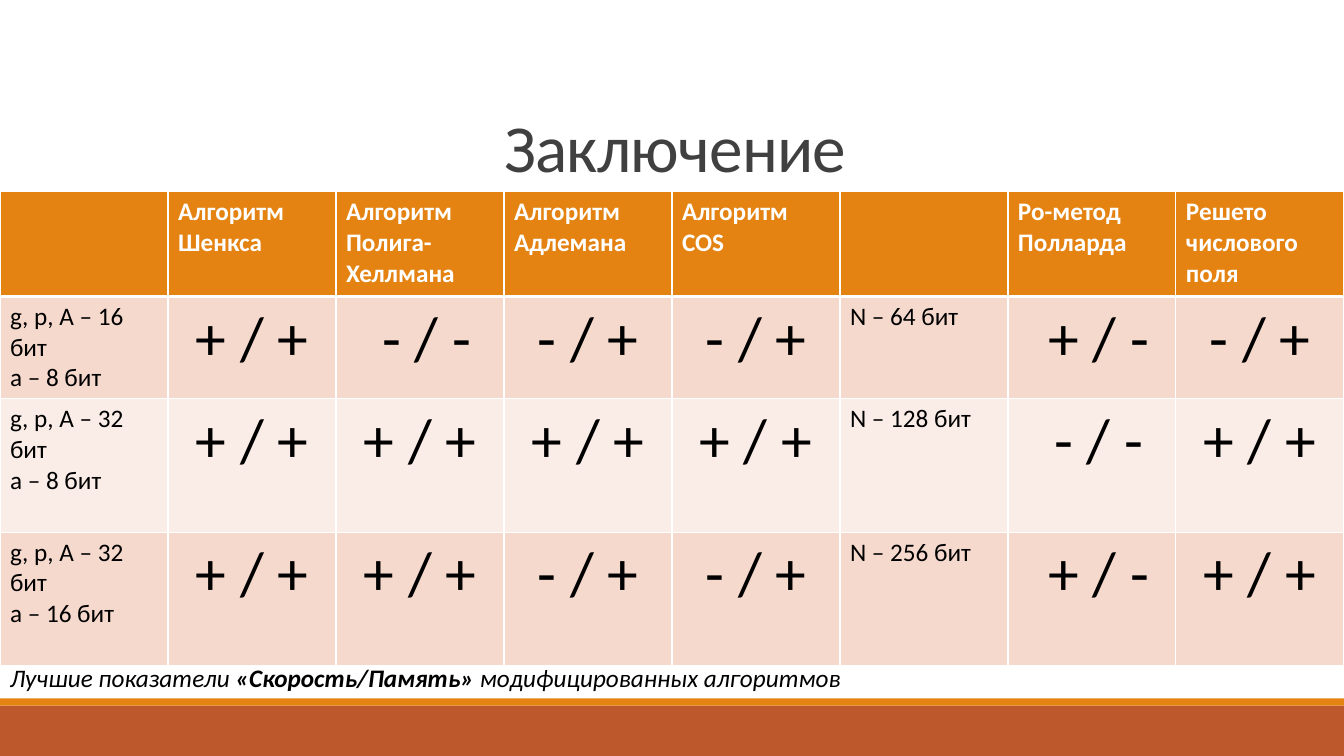
from dataclasses import dataclass

import pptx
import pptx.dml.color
import pptx.enum.shapes
import pptx.enum.text
import pptx.oxml
import pptx.oxml.ns
import pptx.util

Pt = pptx.util.Pt
RGBColor = pptx.dml.color.RGBColor
ALIGN = pptx.enum.text.PP_ALIGN
ANCHOR = pptx.enum.text.MSO_ANCHOR

WHITE = RGBColor(0xFF, 0xFF, 0xFF)
BLACK = RGBColor(0x00, 0x00, 0x00)
GRAY = RGBColor(0x40, 0x40, 0x40)
ORANGE = RGBColor(0xE4, 0x83, 0x12)
RUST = RGBColor(0xBD, 0x58, 0x2C)
PEACH = RGBColor(0xF5, 0xD9, 0xCC)
PALE = RGBColor(0xFA, 0xED, 0xE7)

FONT = "Calibri"
WIDTH, HEIGHT = 960, 540
TABLE_TOP = 136.8


@dataclass
class Bar:
    top: float
    height: float
    color: RGBColor


@dataclass
class Row:
    height: float
    fill: RGBColor
    cells: list[str]


BARS = [Bar(504, 36, RUST), Bar(498.8, 5.2, ORANGE)]

ROWS = [
    Row(74.9, ORANGE, ["", "Алгоритм Шенкса", "Алгоритм Полига-Хеллмана", "Алгоритм Адлемана",
                       "Алгоритм COS", "", "Ро-метод Полларда", "Решето числового поля"]),
    Row(73.2, PEACH, ["g, p, A – 16 бит\na – 8 бит", "+ / +", " - / -", "- / +",
                      "- / +", "N – 64 бит", " + / -", "- / +"]),
    Row(95.2, PALE, ["g, p, A – 32 бит\na – 8 бит", "+ / +", "+ / +", "+ / +",
                     "+ / +", "N – 128 бит", " - / -", "+ / +"]),
    Row(95.2, PEACH, ["g, p, A – 32 бит\na – 16 бит", "+ / +", "+ / +", "- / +",
                      "- / +", "N – 256 бит", " + / -", "+ / +"]),
]
LABEL_COLUMNS = (0, 5)


def add_run(p, text: str, *, size: float = 18, color: RGBColor = BLACK,
            bold: bool = False, italic: bool = False, spacing: float = 0) -> None:
    r = p.add_run()
    r.text = text
    r.font.name = FONT
    r.font.size = Pt(size)
    r.font.color.rgb = color
    r.font.bold = bold
    r.font.italic = italic
    if spacing:
        r.font._element.set("spc", str(round(spacing * 100)))


def add_text_box(s, left: float, top: float, width: float, height: float, anchor=ANCHOR.TOP):
    tf = s.shapes.add_textbox(Pt(left), Pt(top), Pt(width), Pt(height)).text_frame
    tf.word_wrap = True
    tf.vertical_anchor = anchor
    return tf


def add_bar(s, bar: Bar) -> None:
    sp = s.shapes.add_shape(pptx.enum.shapes.MSO_SHAPE.RECTANGLE,
                            0, Pt(bar.top), Pt(WIDTH), Pt(bar.height))
    sp.shadow.inherit = False
    sp.fill.solid()
    sp.fill.fore_color.rgb = bar.color
    sp.line.fill.background()


def set_borders(cell, top: float, bottom: float) -> None:
    tc_pr = cell._tc.get_or_add_tcPr()
    for side, width in (("L", 1), ("R", 1), ("T", top), ("B", bottom)):
        tc_pr.append(pptx.oxml.parse_xml(
            f'<a:ln{side} {pptx.oxml.ns.nsdecls("a")} w="{Pt(width)}"><a:solidFill>'
            f'<a:srgbClr val="{WHITE}"/></a:solidFill></a:ln{side}>'))


def fill_cell(cell, text: str, row: int, col: int) -> None:
    set_borders(cell, top=3 if row == 1 else 1, bottom=3 if row == 0 else 1)
    cell.fill.solid()
    cell.fill.fore_color.rgb = ROWS[row].fill
    is_header = row == 0
    is_mark = not is_header and col not in LABEL_COLUMNS
    tf = cell.text_frame
    for i, line in enumerate(text.split("\n") if text else []):
        p = tf.add_paragraph() if i else tf.paragraphs[0]
        p.alignment = ALIGN.CENTER if is_mark else ALIGN.LEFT
        add_run(p, line, size=44 if is_mark else 18,
                color=WHITE if is_header else BLACK, bold=is_header)


def add_results_table(s) -> None:
    n_cols = len(ROWS[0].cells)
    frame = s.shapes.add_table(len(ROWS), n_cols, 0, Pt(TABLE_TOP), Pt(WIDTH),
                               Pt(sum(row.height for row in ROWS)))
    table = frame.table
    for column in table.columns:
        column.width = Pt(WIDTH / n_cols)
    for i, row in enumerate(ROWS):
        table.rows[i].height = Pt(row.height)
        for j, text in enumerate(row.cells):
            fill_cell(table.cell(i, j), text, i, j)


def main() -> None:
    prs = pptx.Presentation()
    prs.slide_width, prs.slide_height = Pt(WIDTH), Pt(HEIGHT)
    s = prs.slides.add_slide(prs.slide_layouts[6])

    # Footer bars
    for bar in BARS:
        add_bar(s, bar)

    # Title
    p = add_text_box(s, 86.4, 22.3, 792, 114.5, ANCHOR.BOTTOM).paragraphs[0]
    p.alignment = ALIGN.CENTER
    p.line_spacing = 0.85
    add_run(p, "Заключение", size=48, color=GRAY, spacing=-0.5)

    # Comparison table
    add_results_table(s)

    # Caption
    p = add_text_box(s, 0, 469.4, 736, 29).paragraphs[0]
    add_run(p, "Лучшие показатели ", italic=True)
    add_run(p, "«Скорость/Память»", italic=True, bold=True)
    add_run(p, " модифицированных алгоритмов", italic=True)

    prs.save("out.pptx")


if __name__ == "__main__":
    main()
